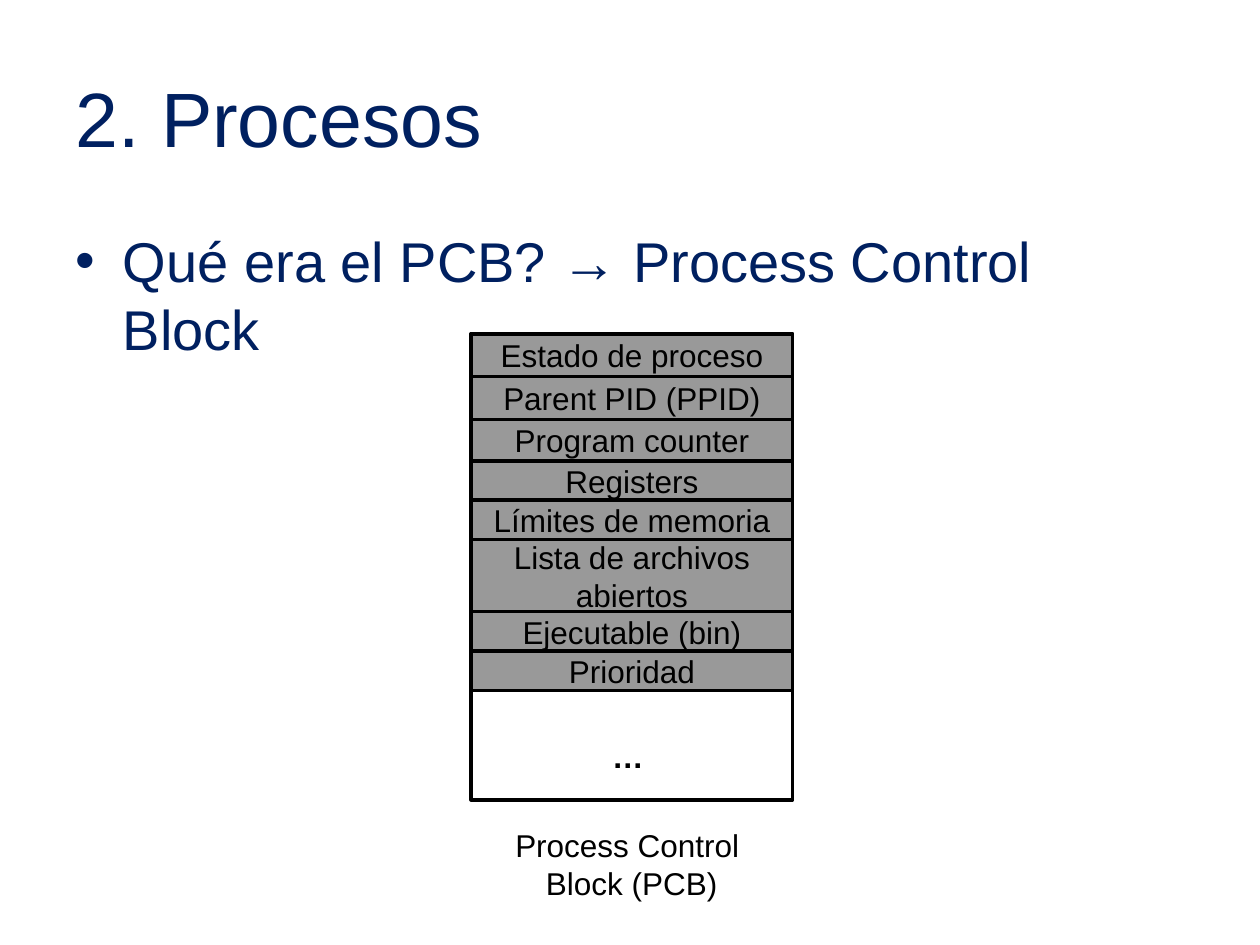
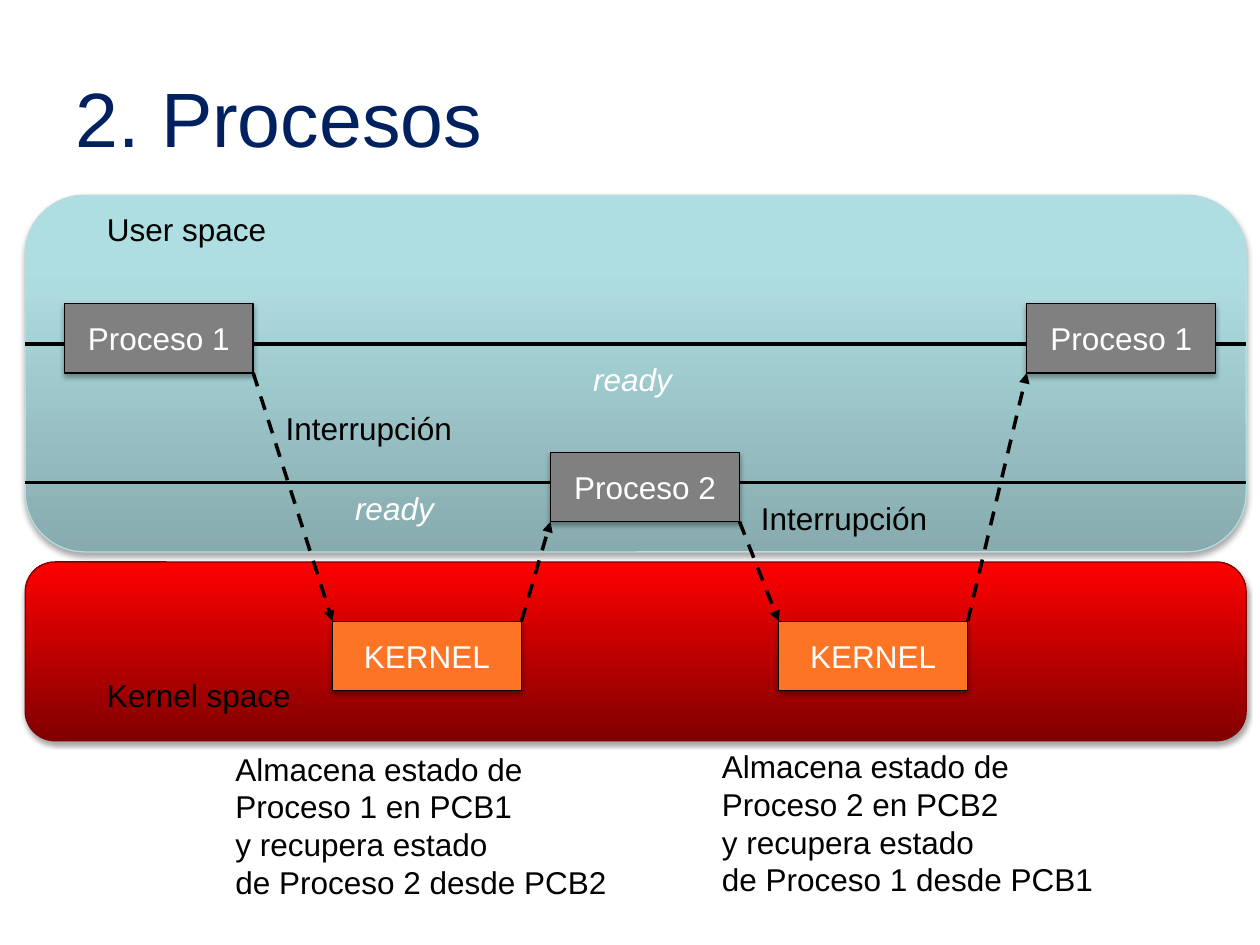
from collections import namedtuple

from lxml import etree
from pptx import Presentation
from pptx.dml.color import RGBColor
from pptx.enum import dml, shapes, text
from pptx.oxml import ns
from pptx.util import Pt

FONT = "Arial"
NAVY = RGBColor(0x00, 0x20, 0x60)
BLACK = RGBColor(0x00, 0x00, 0x00)
WHITE = RGBColor(0xFF, 0xFF, 0xFF)
SLATE = RGBColor(0x60, 0x60, 0x60)
GRAY = RGBColor(0x80, 0x80, 0x80)
ORANGE = RGBColor(0xFD, 0x74, 0x25)
AQUA_DARK = RGBColor(0x87, 0xAB, 0xAE)
AQUA = RGBColor(0xAF, 0xDE, 0xE2)
AQUA_LIGHT = RGBColor(0xAF, 0xE0, 0xE4)
AQUA_EDGE = RGBColor(0xB6, 0xDC, 0xDF)
MAROON = RGBColor(0x80, 0x00, 0x00)
RED = RGBColor(0xFF, 0x00, 0x00)

Box = namedtuple("Box", "left top width height")
TITLE_BOX = Box(36, 21.6, 648, 90)
BODY_BOX = Box(36, 126, 648, 356.4)
PCB_BOX = Box(269.3, 190.8, 183.6, 266.4)
USER_BOX = Box(14.4, 111.6, 697.7, 203.8)
KERNEL_BOX = Box(14.4, 321.1, 697.7, 102.2)

PCB_FIELDS = [
    ("Estado de proceso", 24.5),
    ("Parent PID (PPID)", 24.5),
    ("Program counter", 23.7),
    ("Registers", 22.4),
    ("Límites de memoria", 22.4),
    ("Lista de archivos abiertos", 41.2),
    ("Ejecutable (bin)", 22.6),
    ("Prioridad", 22.4),
]


def points(box):
    return [Pt(value) for value in box]


def add_child(parent, tag, **attributes):
    return etree.SubElement(parent, ns.qn(tag), **attributes)


def write(paragraph, words, size=18, color=BLACK, bold=None, italic=None):
    run = paragraph.add_run()
    run.text = words
    font = run.font
    font.name, font.size, font.bold, font.italic = FONT, Pt(size), bold, italic
    font.color.rgb = color


def fill_placeholder(placeholder, box, words, size):
    placeholder.left, placeholder.top, placeholder.width, placeholder.height = points(box)
    paragraph = placeholder.text_frame.paragraphs[0]
    paragraph.alignment = text.PP_ALIGN.LEFT
    write(paragraph, words, size, NAVY)


def add_titled_slide(presentation, layout_index):
    slide = presentation.slides.add_slide(presentation.slide_layouts[layout_index])
    fill_placeholder(slide.shapes.title, TITLE_BOX, "2. Procesos", 44)
    return slide


def add_label(slide, box, lines, align=text.PP_ALIGN.LEFT, **style):
    frame = slide.shapes.add_textbox(*points(box)).text_frame
    frame.word_wrap = False
    frame.auto_size = text.MSO_AUTO_SIZE.SHAPE_TO_FIT_TEXT
    for index, line in enumerate(lines):
        paragraph = frame.add_paragraph() if index else frame.paragraphs[0]
        paragraph.alignment = align
        write(paragraph, line, **style)


def add_block(slide, box, line_color=BLACK, line_width=0.75,
              kind=shapes.MSO_SHAPE.RECTANGLE):
    shape = slide.shapes.add_shape(kind, *points(box))
    shape.shadow.inherit = False
    shape.fill.background()
    shape.line.color.rgb = line_color
    shape.line.width = Pt(line_width)
    return shape


def fill_block(shape, color, words, text_color):
    shape.fill.solid()
    shape.fill.fore_color.rgb = color
    frame = shape.text_frame
    frame.word_wrap = True
    frame.vertical_anchor = text.MSO_ANCHOR.MIDDLE
    frame.paragraphs[0].alignment = text.PP_ALIGN.CENTER
    write(frame.paragraphs[0], words, color=text_color)


def add_drop_shadow(shape):
    effects = shape._element.spPr.find(ns.qn("a:effectLst"))
    shadow = add_child(effects, "a:outerShdw", blurRad=str(Pt(3.1)), dist=str(Pt(1.8)),
                       dir="5400000", rotWithShape="0")
    color = add_child(shadow, "a:srgbClr", val=str(BLACK))
    add_child(color, "a:alpha", val="35000")


def add_space(slide, box, stops, edge):
    """Rounded band whose gradient stops run from bottom to top."""
    band = add_block(slide, box, edge, kind=shapes.MSO_SHAPE.ROUNDED_RECTANGLE)
    band.fill.gradient()
    band.fill.gradient_angle = 90
    stop_list = band._element.spPr.find(ns.qn("a:gradFill")).find(ns.qn("a:gsLst"))
    for stop in list(stop_list):
        stop_list.remove(stop)
    for percent, color in stops:
        stop = add_child(stop_list, "a:gs", pos=str(percent * 1000))
        add_child(stop, "a:srgbClr", val=str(color))
    add_drop_shadow(band)


def add_task(slide, left, top, words, color):
    task = add_block(slide, Box(left, top, 108, 39.6))
    fill_block(task, color, words, WHITE)
    add_drop_shadow(task)
    return task


def add_line(slide, start_x, start_y, end_x, end_y):
    line = slide.shapes.add_connector(shapes.MSO_CONNECTOR.STRAIGHT,
                                      start_x, start_y, end_x, end_y)
    line.line.color.rgb = BLACK
    line.line.width = Pt(2)
    add_child(line._element.spPr, "a:effectLst")
    return line


def add_switch(slide, source, target):
    """Dashed arrow from the right of one task to the left of the next."""
    goes_down = source.top < target.top
    start_y = source.top + source.height if goes_down else source.top
    end_y = target.top if goes_down else target.top + target.height
    arrow = add_line(slide, source.left + source.width, start_y, target.left, end_y)
    arrow.line.dash_style = dml.MSO_LINE.DASH
    add_child(arrow.line._get_or_add_ln(), "a:tailEnd", type="triangle")


def draw_pcb(slide, box):
    add_block(slide, box, line_width=2)
    top = box.top
    for words, height in PCB_FIELDS:
        field = add_block(slide, Box(box.left, top, box.width, height), line_width=2)
        fill_block(field, SLATE, words, BLACK)
        color = field._element.spPr.find(ns.qn("a:solidFill"))[0]
        add_child(color, "a:alpha", val="64000")
        top += height
    add_label(slide, Box(box.left + 73.4, box.top + 226.8, 32.4, 28.8), ["…"], bold=True)
    add_label(slide, Box(box.left + 17.2, box.top + 277.9, 149, 51.1),
              ["Process Control ", "Block (PCB)"], text.PP_ALIGN.CENTER)


def draw_user_space(slide, box):
    add_space(slide, box, [(0, AQUA_DARK), (80, AQUA), (100, AQUA_LIGHT)], AQUA_EDGE)
    for offset in (85, 164.2):
        y = box.top + offset
        add_line(slide, *points((box.left, y, box.left + box.width, y)))
    add_label(slide, Box(box.left + 39.6, box.top + 5, 106.6, 28.8), ["User space"])
    return [add_task(slide, box.left + x, box.top + y, words, GRAY)
            for x, y, words in ((22.3, 61.9, "Proceso 1"),
                                (300.2, 146.9, "Proceso 2"),
                                (572.4, 61.9, "Proceso 1"))]


def draw_kernel_space(slide, box):
    add_space(slide, box, [(0, MAROON), (100, RED)], MAROON)
    kernels = [add_task(slide, box.left + x, box.top + 33.9, "KERNEL", ORANGE)
               for x in (175.6, 430.6)]
    add_label(slide, Box(box.left + 39.6, box.top + 61.9, 121, 28.8), ["Kernel space"])
    return kernels


def draw_switch_labels(slide, box):
    for x, y in ((141.8, 118.8), (413.3, 169.9)):
        add_label(slide, Box(box.left + x, box.top + y, 110.9, 28.8), ["Interrupción"])
    for x, y in ((181.4, 164.2), (317.5, 90.7)):
        add_label(slide, Box(box.left + x, box.top + y, 64.1, 28.8), ["ready"],
                  color=WHITE, italic=True)


def draw_state_notes(slide, box):
    bottom = box.top + box.height
    for x, y, saved, restored in ((113, 1.5, 1, 2), (391, 0, 2, 1)):
        add_label(slide, Box(box.left + x, bottom + y, 229.7, 94.3),
                  ["Almacena estado de", f"Proceso {saved} en PCB{saved}",
                   "y recupera estado", f"de Proceso {restored} desde PCB{restored}"])


def build_pcb_slide(presentation):
    slide = add_titled_slide(presentation, 1)
    fill_placeholder(slide.placeholders[1], BODY_BOX,
                     "Qué era el PCB? → Process Control Block", 32)
    draw_pcb(slide, PCB_BOX)


def build_context_switch_slide(presentation):
    slide = add_titled_slide(presentation, 5)
    first, second, resumed = draw_user_space(slide, USER_BOX)
    save_first, save_second = draw_kernel_space(slide, KERNEL_BOX)
    sequence = [first, save_first, second, save_second, resumed]
    for source, target in zip(sequence, sequence[1:]):
        add_switch(slide, source, target)
    draw_switch_labels(slide, USER_BOX)
    draw_state_notes(slide, KERNEL_BOX)


def main():
    presentation = Presentation()
    presentation.slide_width, presentation.slide_height = Pt(720), Pt(540)
    build_pcb_slide(presentation)
    build_context_switch_slide(presentation)
    presentation.save("out.pptx")


if __name__ == "__main__":
    main()
